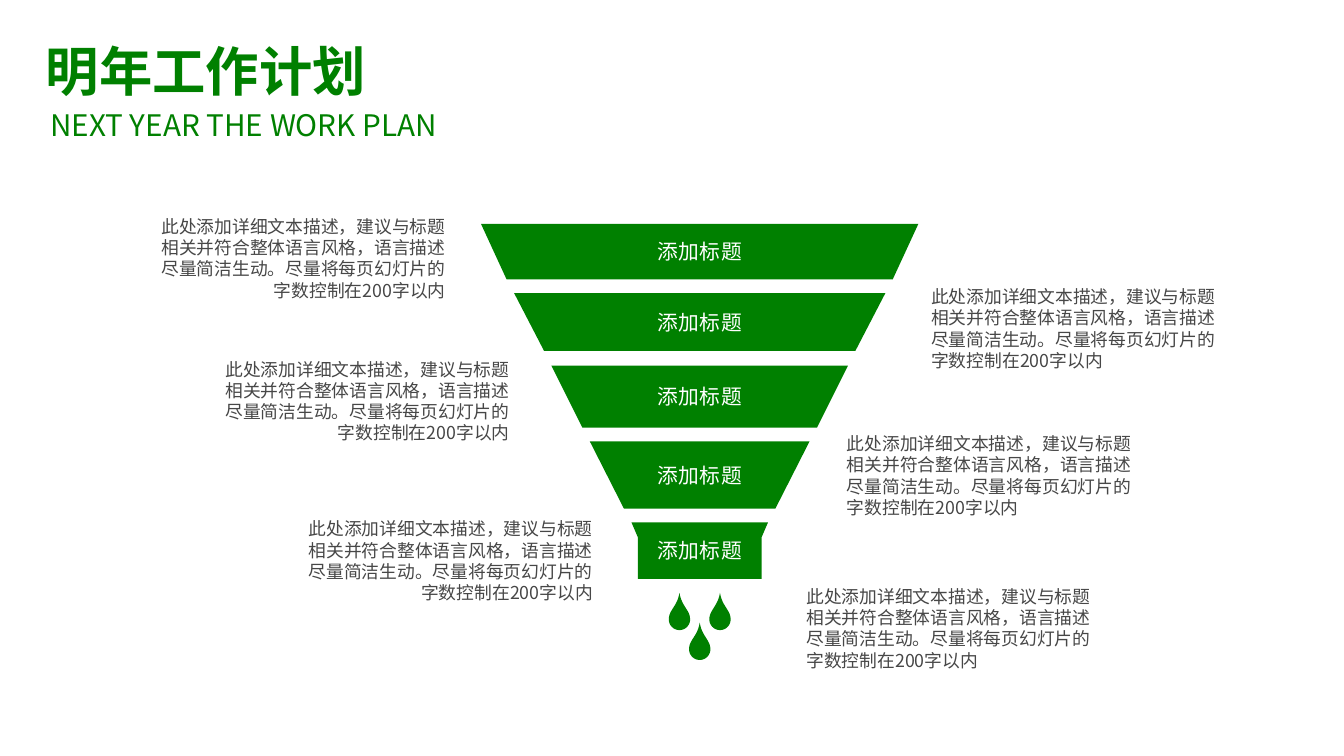
from lxml import etree
from pptx import Presentation
from pptx import util as u
from pptx.dml import color
from pptx.enum import lang, text
from pptx.oxml import ns

FONT = "Noto Sans CJK SC"
GREEN, GREY, WHITE = "008000", "474747", "FFFFFF"
AXIS = 6.56
LABEL = "添加标题"
DESCRIPTION = (
    "此处添加详细文本描述，建议与标题相关并符合整体语言风格，"
    "语言描述尽量简洁生动。尽量将每页幻灯片的字数控制在200字以内"
)
TIERS = [
    [(2.1, 2.05), (2.62, 1.81)],
    [(2.75, 1.74), (3.29, 1.46)],
    [(3.43, 1.39), (4.01, 1.1)],
    [(4.14, 1.03), (4.77, 0.71)],
    [(4.9, 0.64), (5.04, 0.58), (5.43, 0.58)],
]
DROP_TIPS = [(AXIS, 5.84), (AXIS - 0.19, 5.56), (AXIS + 0.19, 5.56)]
DROP_CURVES = [
    [(0, 0), (0.02, 0.13), (0.1, 0.16), (0.1, 0.25)],
    [(0.1, 0.25), (0.1, 0.3), (0.06, 0.35), (0, 0.35)],
]
LEFT_NOTES = [(1.42, 2.02), (2.02, 3.36), (2.8, 4.86)]
RIGHT_NOTES = [(8.73, 2.68), (7.94, 4.06), (7.56, 5.49)]


def rgb(value):
    """Turn a hex string into a colour."""
    return color.RGBColor.from_string(value)


def apply_format(target, values):
    """Set each attribute in values on the target."""
    for name, value in values.items():
        setattr(target, name, value)


def write_text(shape, words, size, ink, align="LEFT", anchor="TOP",
               margins=(0, 0), bold=False, tracking=None):
    """Write one formatted paragraph into a shape."""
    across, down = (u.Inches(margin) for margin in margins)
    frame = shape.text_frame
    apply_format(frame, {
        "word_wrap": True,
        "auto_size": text.MSO_AUTO_SIZE.NONE,
        "vertical_anchor": getattr(text.MSO_ANCHOR, anchor),
        "margin_left": across, "margin_right": across,
        "margin_top": down, "margin_bottom": down,
    })
    para = frame.paragraphs[0]
    apply_format(para, {
        "alignment": getattr(text.PP_ALIGN, align),
        "line_spacing": u.Pt(size * 1.2),
        "space_before": u.Pt(0),
    })
    span = para.add_run()
    span.text = words
    apply_format(span.font, {
        "size": u.Pt(size), "bold": bold, "name": FONT,
        "language_id": lang.MSO_LANGUAGE_ID.SIMPLIFIED_CHINESE,
    })
    span.font.color.rgb = rgb(ink)
    properties = span._r.get_or_add_rPr()
    etree.SubElement(properties, ns.qn("a:ea"), typeface=FONT)
    if tracking:
        properties.set("spc", str(tracking))


def add_text(page, left, top, width, height, words, size, ink, **style):
    """Add a text box holding one paragraph."""
    box = page.shapes.add_textbox(*map(u.Inches, (left, top, width, height)))
    write_text(box, words, size, ink, **style)


def add_title(page, words):
    """Move the title placeholder to the top left and fill it."""
    title = page.shapes.title
    places = map(u.Inches, (0.32, 0.3, 3.99, 0.72))
    apply_format(title, dict(zip(("left", "top", "width", "height"), places)))
    write_text(title, words, 36, GREEN, margins=(0.11, 0.06), bold=True)


def add_outline(page, contours):
    """Add one green shape made of closed contours given in inches."""
    first, *others = [
        [(u.Inches(x), u.Inches(y)) for x, y in contour] for contour in contours
    ]
    builder = page.shapes.build_freeform(*first[0])
    builder.add_line_segments(first[1:], close=True)
    for contour in others:
        builder.move_to(*contour[0])
        builder.add_line_segments(contour[1:], close=True)
    shape = builder.convert_to_shape()
    shape.shadow.inherit = False
    shape.fill.solid()
    shape.fill.fore_color.rgb = rgb(GREEN)
    shape.line.fill.background()
    return shape


def mirrored(rows):
    """Return a symmetric contour from rows of height and half width."""
    right = [(AXIS + half, y) for y, half in rows]
    left = [(AXIS - half, y) for y, half in reversed(rows)]
    return right + left


def curve_points(controls, steps=12):
    """Return points along a cubic curve."""
    points = []
    for step in range(steps + 1):
        t = step / steps
        weights = ((1 - t) ** 3, 3 * t * (1 - t) ** 2, 3 * t * t * (1 - t), t ** 3)
        points.append(tuple(
            sum(w * c for w, c in zip(weights, axis)) for axis in zip(*controls)
        ))
    return points


def add_drops(page):
    """Add the three drops beneath the funnel."""
    side = [point for curve in DROP_CURVES for point in curve_points(curve)]
    whole = side + [(-x, y) for x, y in reversed(side)]
    add_outline(page, [
        [(left + x, top + y) for x, y in whole] for left, top in DROP_TIPS
    ])


def main():
    """Build the funnel slide."""
    deck = Presentation()
    deck.slide_width, deck.slide_height = u.Inches(12.6), u.Inches(7.09)
    page = deck.slides.add_slide(deck.slide_layouts[5])
    add_title(page, "明年工作计划")
    add_text(page, 0.47, 1, 4.49, 0.67, "NEXT YEAR THE WORK PLAN", 20, GREEN)
    for rows in TIERS:
        tier = add_outline(page, [mirrored(rows)])
        write_text(tier, LABEL, 14, WHITE, align="CENTER", anchor="MIDDLE",
                   tracking=30)
    add_drops(page)
    for align, places in (("RIGHT", LEFT_NOTES), ("LEFT", RIGHT_NOTES)):
        for left, top in places:
            add_text(page, left, top, 2.76, 0.81, DESCRIPTION, 12, GREY,
                     align=align)
    deck.save("out.pptx")


if __name__ == "__main__":
    main()
